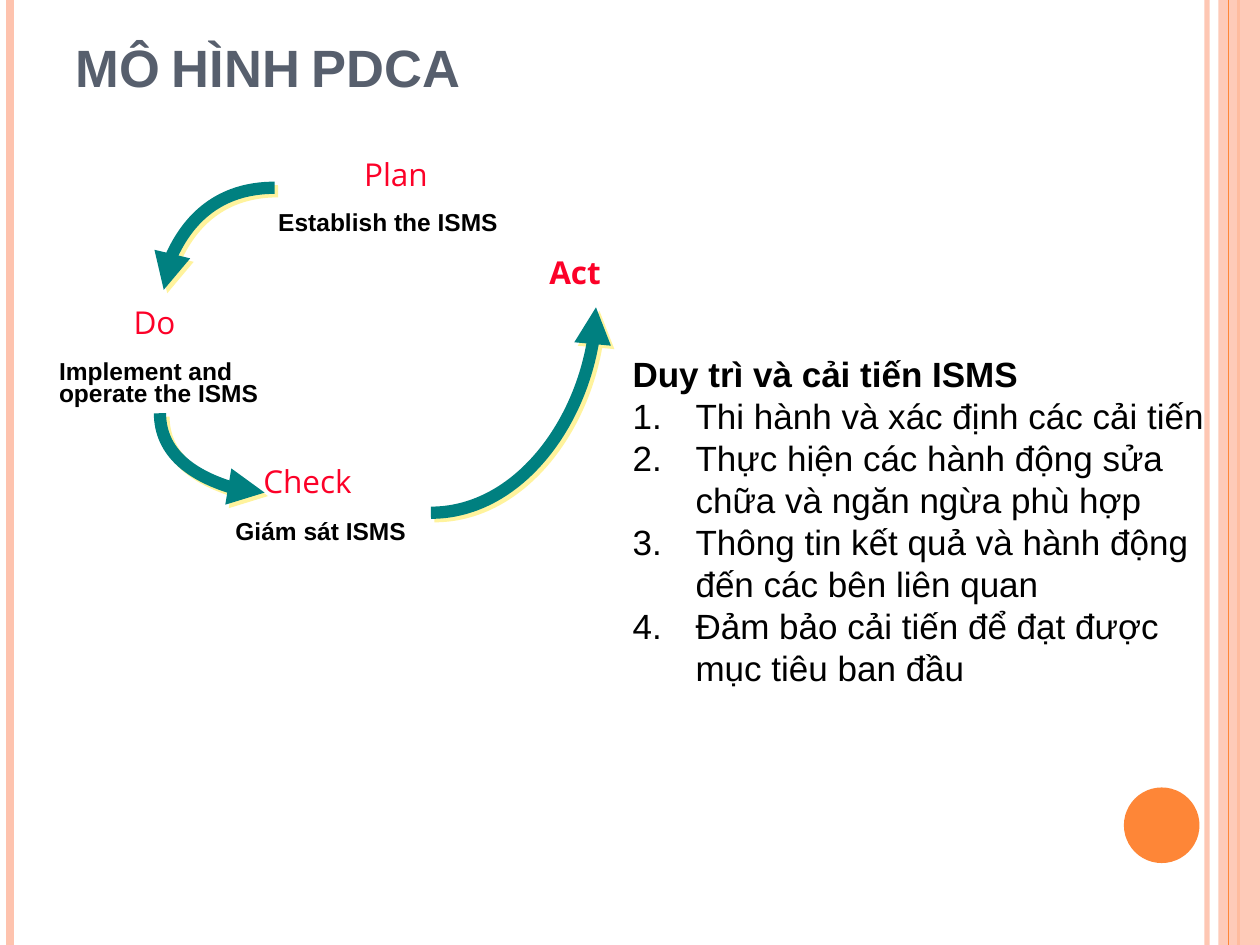
from lxml.etree import SubElement
from pptx import Presentation
from pptx.dml.color import RGBColor
from pptx.enum.shapes import MSO_CONNECTOR, MSO_SHAPE
from pptx.enum.text import MSO_ANCHOR, MSO_AUTO_SIZE, PP_ALIGN
from pptx.oxml.ns import qn
from pptx.util import Inches, Pt

WIDE, HIGH = 100, 75
PEACH, ORANGE, TEAL, CREAM = "FEC3AE", "FE8637", "008080", "FFF39D"
RED, BLACK, SLATE, WHITE = "FC0128", "000000", "575F6D", "FFFFFF"


def hue(code):
    return RGBColor.from_string(code)


def cells(*nums):
    return [Inches(num / 10) for num in nums]


def child(node, tag, **attrs):
    return SubElement(node, qn(tag), {key: str(val) for key, val in attrs.items()})


def fade(node, share):
    child(node.find(".//" + qn("a:srgbClr")), "a:alpha", val=share * 1000)


def move(shape, box):
    shape.left, shape.top, shape.width, shape.height = cells(*box)


def style(para, size, code, face="Arial", bold=False):
    font = para.font
    font.name, font.size, font.bold = face, Pt(size), bold
    font.color.rgb = hue(code)


def stroke(slide, ends, code, width, kind=MSO_CONNECTOR.STRAIGHT):
    line = slide.shapes.add_connector(kind, *cells(*ends))
    line.line.color.rgb = hue(code)
    line.line.width = Pt(width)
    glow = child(line.element.spPr, "a:effectLst")
    return line, glow


def rule(slide, col, code, width, share=100):
    line, _ = stroke(slide, (col, 0, col, HIGH), code, width)
    if share < 100:
        fade(line.element.spPr.find(qn("a:ln")), share)


def arc(slide, ends, turn=0):
    line, glow = stroke(slide, ends, TEAL, 7, MSO_CONNECTOR.CURVE)
    props = line.element.spPr
    props.find(qn("a:prstGeom")).set("prst", "curvedConnector2")
    if turn:
        props.find(qn("a:xfrm")).set("rot", str(turn * 60000))
    child(props.find(qn("a:ln")), "a:tailEnd", type="triangle")
    shade = child(glow, "a:outerShdw", dist=Pt(2.8), dir=45 * 60000, algn="ctr", rotWithShape=0)
    child(shade, "a:srgbClr", val=CREAM)


def block(slide, kind, box, code, share=100):
    shape = slide.shapes.add_shape(kind, *cells(*box))
    shape.shadow.inherit = False
    shape.fill.solid()
    shape.fill.fore_color.rgb = hue(code)
    shape.line.fill.background()
    if share < 100:
        fade(shape.element.spPr.find(qn("a:solidFill")), share)


def frame(slide, box, text):
    body = slide.shapes.add_textbox(*cells(*box)).text_frame
    body.word_wrap = True
    body.text = text
    return body, body.paragraphs[0]


def phase(slide, box, text, bold=False):
    body, para = frame(slide, box, text)
    body.margin_left = Inches(0.23)
    style(para, 18, RED, "Open Sans", bold)


def note(slide, box, text):
    _, para = frame(slide, box, text)
    style(para, 14, BLACK, bold=True)
    para.line_spacing = 0.75


def head(slide, text):
    shape = slide.shapes.title
    move(shape, (5, 3, 81.7, 5.3))
    body = shape.text_frame
    body.text = text
    body.auto_size = MSO_AUTO_SIZE.NONE
    body.vertical_anchor = MSO_ANCHOR.BOTTOM
    para = body.paragraphs[0]
    para.alignment = PP_ALIGN.LEFT
    style(para, 30, SLATE, bold=True)
    shape.element.find(".//" + qn("a:defRPr")).set("cap", "small")


def steps(slide, lead, items):
    shape = slide.placeholders[1]
    move(shape, (49.2, 27.5, 48.6, 27.9))
    body = shape.text_frame
    body.text = "\n".join([lead, *items])
    body.auto_size = MSO_AUTO_SIZE.NONE
    for num, para in enumerate(body.paragraphs):
        style(para, 20, BLACK, bold=num == 0)
        para.space_before = Pt(0)
    for num, props in enumerate(shape.element.iter(qn("a:pPr"))):
        dent = Inches(0.5 if num else 0.39)
        props.set("marL", str(dent))
        props.set("indent", str(-dent))
        if num:
            mark = child(props, "a:buAutoNum", type="arabicPeriod")
        else:
            mark = child(props, "a:buNone")
        props.find(qn("a:defRPr")).addprevious(mark)


def trim(slide):
    rule(slide, 95.8, PEACH, 3, 93)
    rule(slide, 0.8, PEACH, 4.5)
    rule(slide, 98.3, ORANGE, 1.5)
    block(slide, MSO_SHAPE.RECTANGLE, (96.7, 0, 3.3, HIGH), PEACH, 87)
    rule(slide, 97.5, ORANGE, 0.75)
    block(slide, MSO_SHAPE.OVAL, (89.2, 62.5, 6, 6), ORANGE)


def cycle(slide):
    phase(slide, (41.3, 19.6, 14.4, 5), "Act", True)
    phase(slide, (26.6, 11.8, 11.3, 4), "Plan")
    note(slide, (21.1, 16.5, 21.8, 2.7), "Establish the ISMS")
    arc(slide, (21.8, 14.9, 13, 23))
    phase(slide, (8.3, 23.6, 9.5, 4), "Do")
    plate = (3.7, 28.3, 18.2, 4.5)
    block(slide, MSO_SHAPE.RECTANGLE, plate, WHITE)
    note(slide, plate, "Implement and operate the ISMS")
    arc(slide, (20, 31.8, 13.7, 40.1), 270)
    phase(slide, (18.6, 36.2, 11.4, 4), "Check")
    note(slide, (17.7, 41, 16.7, 2.8), "Giám sát ISMS")
    arc(slide, (34.2, 40.7, 47.3, 24.4))


def main():
    deck = Presentation()
    deck.slide_width, deck.slide_height = cells(WIDE, HIGH)
    slide = deck.slides.add_slide(deck.slide_layouts[1])
    trim(slide)
    head(slide, "MÔ HÌNH PDCA")
    steps(slide, "Duy trì và cải tiến ISMS", [
        "Thi hành và xác định các cải tiến",
        "Thực hiện các hành động sửa chữa và ngăn ngừa phù hợp",
        "Thông tin kết quả và hành động đến các bên liên quan",
        "Đảm bảo cải tiến để đạt được mục tiêu ban đầu",
    ])
    cycle(slide)
    deck.save("out.pptx")


if __name__ == "__main__":
    main()
